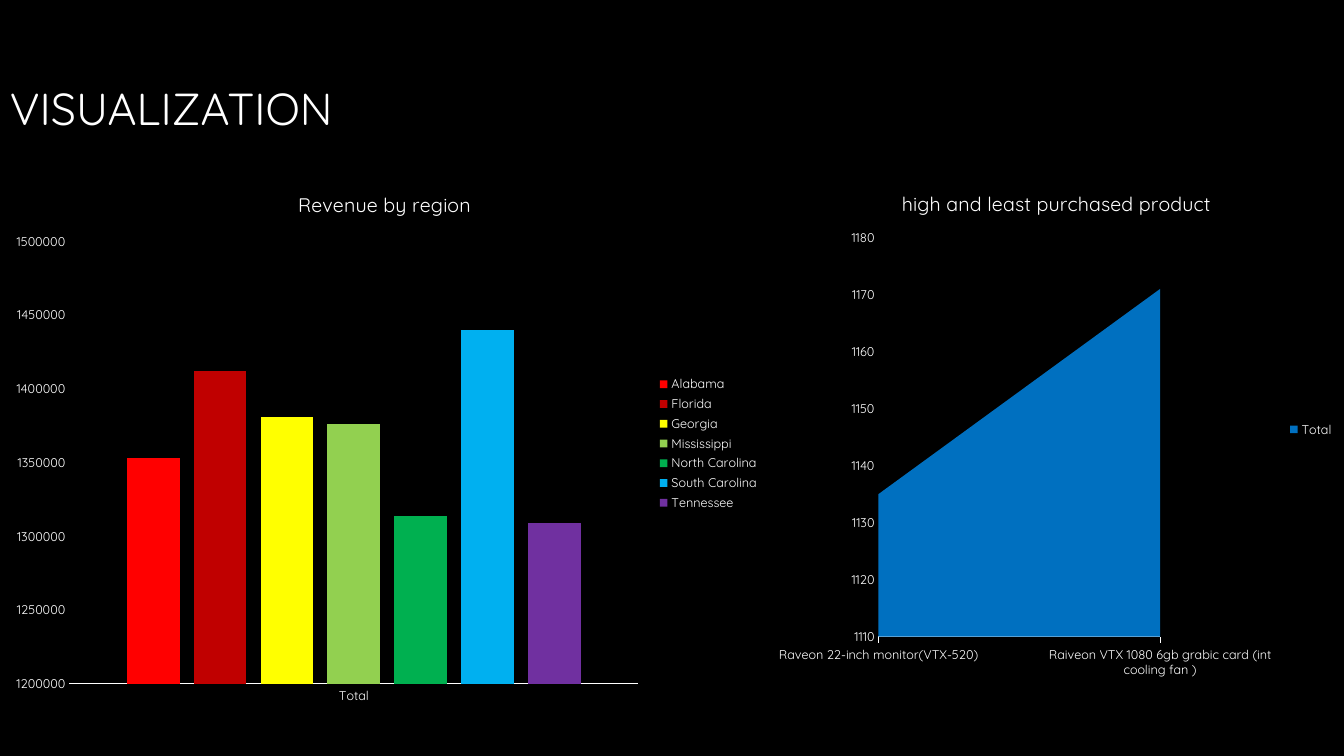
from lxml import etree
from pptx import Presentation
from pptx.chart.data import CategoryChartData
from pptx.dml.color import RGBColor
from pptx.enum.chart import XL_CHART_TYPE, XL_LEGEND_POSITION, XL_TICK_MARK
from pptx.enum.text import MSO_ANCHOR
from pptx.oxml.ns import qn
from pptx.util import Inches, Pt

COLUMN, AREA = XL_CHART_TYPE.COLUMN_CLUSTERED, XL_CHART_TYPE.AREA
LEGEND_RIGHT = XL_LEGEND_POSITION.RIGHT
TICK_NONE, TICK_OUT = XL_TICK_MARK.NONE, XL_TICK_MARK.OUTSIDE
MIDDLE = MSO_ANCHOR.MIDDLE

WIDTH, HEIGHT = 13.33, 7.5
FONT, WHITE, BLACK = "Quicksand", "FFFFFF", "000000"
HEADING = "VISUALIZATION"
CHART_TOP, SPLIT = 1.69, 7.63

# Plot shares are left, top, width and height within the chart.
REVENUE = {
    "type": COLUMN,
    "title": "Revenue by region",
    "box": (0, CHART_TOP, SPLIT, 5.42),
    "plot": (0.09, 0.13, 0.74, 0.81),
    "scale": (1200000, 1500000, 50000),
    "tick": TICK_NONE,
    "categories": ["Total"],
    "series": [
        ("Alabama", [1353000], "FF0000"),
        ("Florida", [1412000], "C00000"),
        ("Georgia", [1381000], "FFFF00"),
        ("Mississippi", [1376000], "92D050"),
        ("North Carolina", [1314000], "00B050"),
        ("South Carolina", [1440000], "00B0F0"),
        ("Tennessee", [1309000], "7030A0"),
    ],
}
PRODUCTS = {
    "type": AREA,
    "title": "high and least purchased product",
    "box": (SPLIT, CHART_TOP, WIDTH - SPLIT, 5.14),
    "plot": (0.19, 0.13, 0.49, 0.77),
    "scale": (1110, 1180, 10),
    "tick": TICK_OUT,
    "categories": [
        "Raveon 22-inch monitor(VTX-520)",
        "Raiveon VTX 1080 6gb grabic card (int cooling fan )",
    ],
    "series": [("Total", [1135, 1171], "0070C0")],
}


def color(value):
    return RGBColor.from_string(value)


def style_font(font, size):
    font.name, font.size, font.bold = FONT, Pt(size), False
    font.color.rgb = color(WHITE)


def place_plot(chart, shares):
    """Fix the inner plot area as shares of the chart frame."""
    plot_area = chart.element.find(".//" + qn("c:plotArea"))
    layout = plot_area.find(qn("c:layout"))
    if layout is not None:
        plot_area.remove(layout)
    layout = etree.Element(qn("c:layout"))
    plot_area.insert(0, layout)
    manual = etree.SubElement(layout, qn("c:manualLayout"))
    settings = [("layoutTarget", "inner"), ("xMode", "edge"), ("yMode", "edge")]
    settings += zip("xywh", shares)
    for tag, value in settings:
        etree.SubElement(manual, qn("c:" + tag)).set("val", str(value))


def add_styled_chart(slide, content):
    data = CategoryChartData()
    data.categories = content["categories"]
    for name, values, _ in content["series"]:
        data.add_series(name, values)
    box = [Inches(length) for length in content["box"]]
    chart = slide.shapes.add_chart(content["type"], *box, data).chart
    style_font(chart.font, 10)

    chart.has_title = True
    run = chart.chart_title.text_frame.paragraphs[0].add_run()
    run.text = content["title"]
    style_font(run.font, 14)
    chart.chart_title.include_in_layout = False

    chart.has_legend = True
    chart.legend.position = LEGEND_RIGHT
    chart.legend.include_in_layout = False
    style_font(chart.legend.font, 9)

    categories, values = chart.category_axis, chart.value_axis
    for axis in (categories, values):
        axis.has_major_gridlines = False
        axis.minor_tick_mark = TICK_NONE
        style_font(axis.tick_labels.font, 9)
    categories.major_tick_mark = content["tick"]
    categories.format.line.color.rgb = color(WHITE)
    categories.format.line.width = Pt(0.75)
    values.major_tick_mark = TICK_NONE
    values.format.line.fill.background()
    values.minimum_scale, values.maximum_scale, values.major_unit = content["scale"]

    plot = chart.plots[0]
    plot.vary_by_categories = False
    for series, (_, _, fill) in zip(plot.series, content["series"]):
        series.format.fill.solid()
        series.format.fill.fore_color.rgb = color(fill)
    place_plot(chart, content["plot"])
    return chart


def add_heading(slide):
    box = slide.shapes.add_textbox(0, Inches(0.67), Inches(12.08), Inches(0.79))
    frame = box.text_frame
    frame.word_wrap = True
    frame.vertical_anchor = MIDDLE
    run = frame.paragraphs[0].add_run()
    run.text = HEADING
    style_font(run.font, 32)


def main():
    presentation = Presentation()
    presentation.slide_width = Inches(WIDTH)
    presentation.slide_height = Inches(HEIGHT)
    slide = presentation.slides.add_slide(presentation.slide_layouts[6])
    slide.background.fill.solid()
    slide.background.fill.fore_color.rgb = color(BLACK)

    add_heading(slide)
    revenue = add_styled_chart(slide, REVENUE)
    revenue.plots[0].gap_width = 219
    revenue.plots[0].overlap = -27
    add_styled_chart(slide, PRODUCTS)
    presentation.save("out.pptx")


if __name__ == "__main__":
    main()
